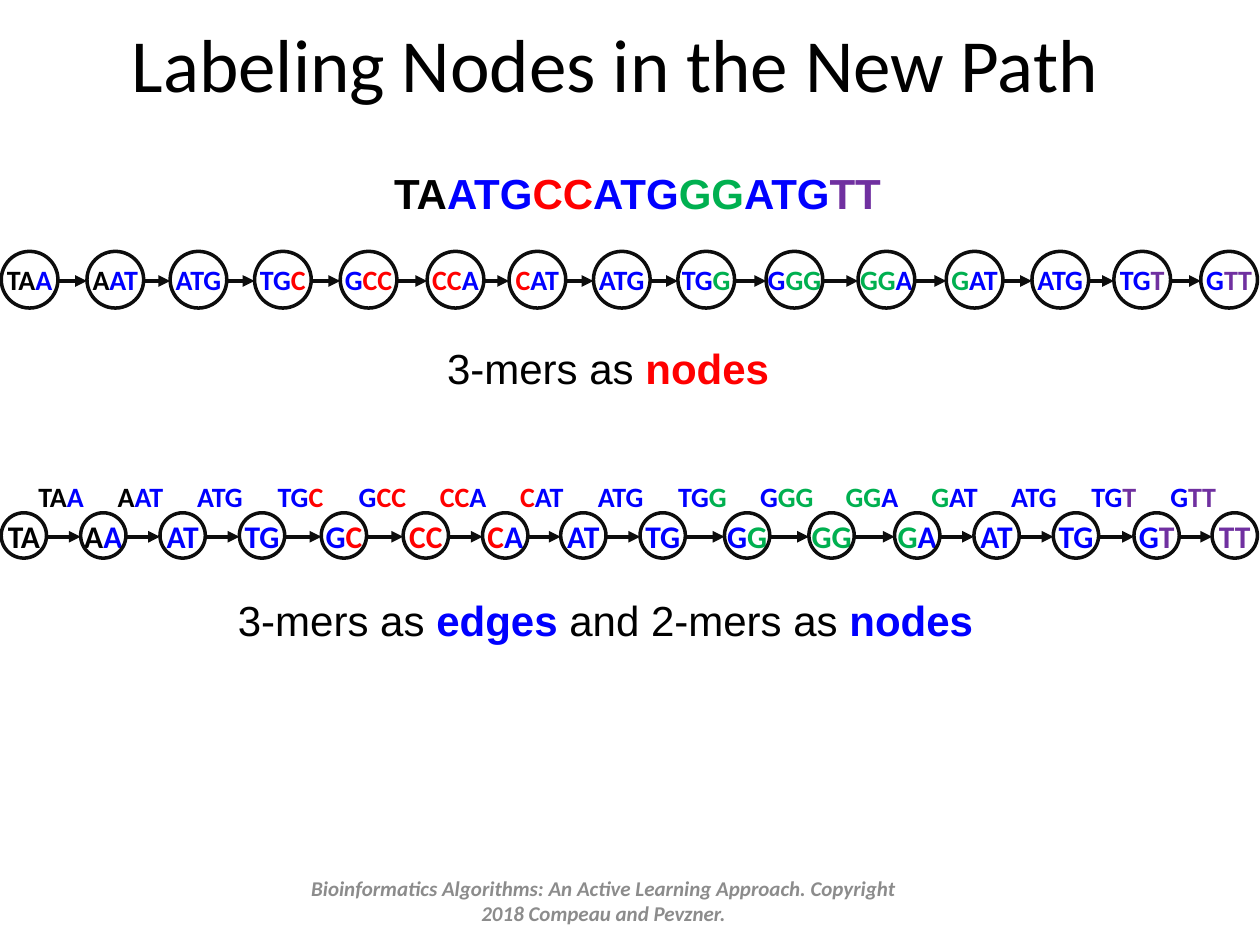
import itertools

import pptx
import pptx.dml.color
import pptx.enum.shapes
import pptx.enum.text
import pptx.oxml
import pptx.oxml.ns
import pptx.util

Inches = pptx.util.Inches
ALIGN = pptx.enum.text.PP_ALIGN
ANCHOR = pptx.enum.text.MSO_ANCHOR

COLORS = {
    "black": "000000",
    "blue": "0000FF",
    "red": "FF0000",
    "green": "00B050",
    "purple": "7030A0",
    "outline": "0D0D0D",
    "footer": "8C8C8C",
}
FORMATS = {
    "title": {"name": "Calibri", "size": pptx.util.Pt(42.9)},
    "genome": {"name": "Arial", "size": pptx.util.Pt(24), "bold": True},
    "caption": {"name": "Arial", "size": pptx.util.Pt(24)},
    "strong": {"name": "Arial", "size": pptx.util.Pt(24), "bold": True},
    "3-mer": {"name": "Calibri", "size": pptx.util.Pt(16), "bold": True},
    "2-mer": {"name": "Calibri", "size": pptx.util.Pt(18), "bold": True},
    "footer": {"name": "Calibri", "size": pptx.util.Pt(12), "bold": True, "italic": True},
}

GENOME_PARTS = [("TA", "black"), ("ATG", "blue"), ("CC", "red"), ("ATG", "blue"),
                ("GG", "green"), ("ATG", "blue"), ("TT", "purple")]
LETTERS = [(letter, color) for part, color in GENOME_PARTS for letter in part]

# Left edges of the circles in each path
LEFTS_3MER = [0.01, 0.69, 1.35, 2.02, 2.7, 3.39, 4.04, 4.71,
              5.38, 6.08, 6.81, 7.51, 8.19, 8.84, 9.53]
LEFTS_2MER = [0.01, 0.64, 1.27, 1.9, 2.55, 3.2, 3.83, 4.45,
              5.08, 5.75, 6.42, 7.1, 7.73, 8.36, 9, 9.62]


def rgb(color):
    return pptx.dml.color.RGBColor.from_string(COLORS[color])


def kmers(k):
    """Return every k-mer of the genome as runs of equally coloured letters."""
    windows = [LETTERS[i:i + k] for i in range(len(LETTERS) - k + 1)]
    return [[("".join(letter for letter, _ in group), color)
             for color, group in itertools.groupby(window, key=lambda pair: pair[1])]
            for window in windows]


def add_run(paragraph, text, color, style):
    run = paragraph.add_run()
    run.text = text
    for attribute, value in FORMATS[style].items():
        setattr(run.font, attribute, value)
    run.font.color.rgb = rgb(color)


def add_text(slide, box, runs, align=ALIGN.LEFT, anchor=ANCHOR.TOP, wrap=True):
    """Add a text box from (text, colour, style) runs."""
    frame = slide.shapes.add_textbox(*map(Inches, box)).text_frame
    frame.word_wrap = wrap
    frame.vertical_anchor = anchor
    frame.paragraphs[0].alignment = align
    for run in runs:
        add_run(frame.paragraphs[0], *run)
    return frame


def add_kmer(slide, center_x, center_y, kmer, style):
    width, height = 0.6, 0.4
    frame = add_text(slide, (center_x - width / 2, center_y - height / 2, width, height),
                     [(text, color, style) for text, color in kmer],
                     ALIGN.CENTER, ANCHOR.MIDDLE, wrap=False)
    frame.margin_left = frame.margin_right = 0


def add_circle(slide, left, center_y, diameter):
    circle = slide.shapes.add_shape(
        pptx.enum.shapes.MSO_SHAPE.OVAL, Inches(left), Inches(center_y - diameter / 2),
        Inches(diameter), Inches(diameter))
    circle.shadow.inherit = False
    circle.fill.background()
    circle.line.color.rgb = rgb("outline")
    circle.line.width = pptx.util.Pt(2)


def add_arrow(slide, start_x, end_x, y):
    arrow = slide.shapes.add_connector(
        pptx.enum.shapes.MSO_CONNECTOR.STRAIGHT,
        Inches(start_x), Inches(y), Inches(end_x), Inches(y))
    arrow.line.color.rgb = rgb("outline")
    arrow.line.width = pptx.util.Pt(2.25)
    head = pptx.oxml.parse_xml(
        f'<a:tailEnd {pptx.oxml.ns.nsdecls("a")} type="triangle"/>')
    arrow.line._get_or_add_ln().append(head)
    no_shadow = pptx.oxml.parse_xml(f'<a:effectLst {pptx.oxml.ns.nsdecls("a")}/>')
    arrow._element.spPr.append(no_shadow)


def add_path(slide, lefts, center_y, diameter, arrow_y, nodes, style):
    for left, node in zip(lefts, nodes):
        add_kmer(slide, left + diameter / 2, center_y, node, style)
        add_circle(slide, left, center_y, diameter)
    for left, following in itertools.pairwise(lefts):
        add_arrow(slide, left + diameter, following, arrow_y)


def add_edge_labels(slide, lefts, diameter, center_y, edges):
    """Centre each edge's k-mer between the two nodes that it joins."""
    for (left, following), edge in zip(itertools.pairwise(lefts), edges):
        add_kmer(slide, (left + following + diameter) / 2 - 0.02, center_y, edge, "3-mer")


def add_title(slide, text):
    title = slide.shapes.title
    title.left, title.top, title.width, title.height = map(Inches, (0.38, 0.08, 9, 0.83))
    frame = title.text_frame
    frame.auto_size = pptx.enum.text.MSO_AUTO_SIZE.NONE
    frame.vertical_anchor = ANCHOR.MIDDLE
    frame.paragraphs[0].alignment = ALIGN.CENTER
    add_run(frame.paragraphs[0], text, "black", "title")


def main():
    deck = pptx.Presentation()
    deck.slide_width, deck.slide_height = Inches(10), Inches(7.5)
    slide = deck.slides.add_slide(deck.slide_layouts[5])

    add_title(slide, "Labeling Nodes in the New Path")
    add_text(slide, (3.03, 1.28, 4.15, 0.5),
             [(part, color, "genome") for part, color in GENOME_PARTS])

    add_path(slide, LEFTS_3MER, 2.22, 0.45, 2.23, kmers(3), "3-mer")
    add_text(slide, (3.45, 2.67, 2.85, 0.5),
             [("3-mers as ", "black", "caption"), ("nodes", "red", "strong")])

    add_edge_labels(slide, LEFTS_2MER, 0.36, 3.94, kmers(3))
    add_path(slide, LEFTS_2MER, 4.25, 0.36, 4.26, kmers(2), "2-mer")
    add_text(slide, (1.79, 4.67, 6.57, 0.5),
             [("3-mers as ", "black", "caption"), ("edges ", "blue", "strong"),
              ("and 2-mers as ", "black", "caption"), ("nodes", "blue", "strong")])

    add_text(slide, (2.25, 6.95, 5.08, 0.4),
             [("Bioinformatics Algorithms: An Active Learning Approach. "
               "Copyright 2018 Compeau and Pevzner.", "footer", "footer")],
             ALIGN.CENTER, ANCHOR.MIDDLE)
    deck.save("out.pptx")


if __name__ == "__main__":
    main()
